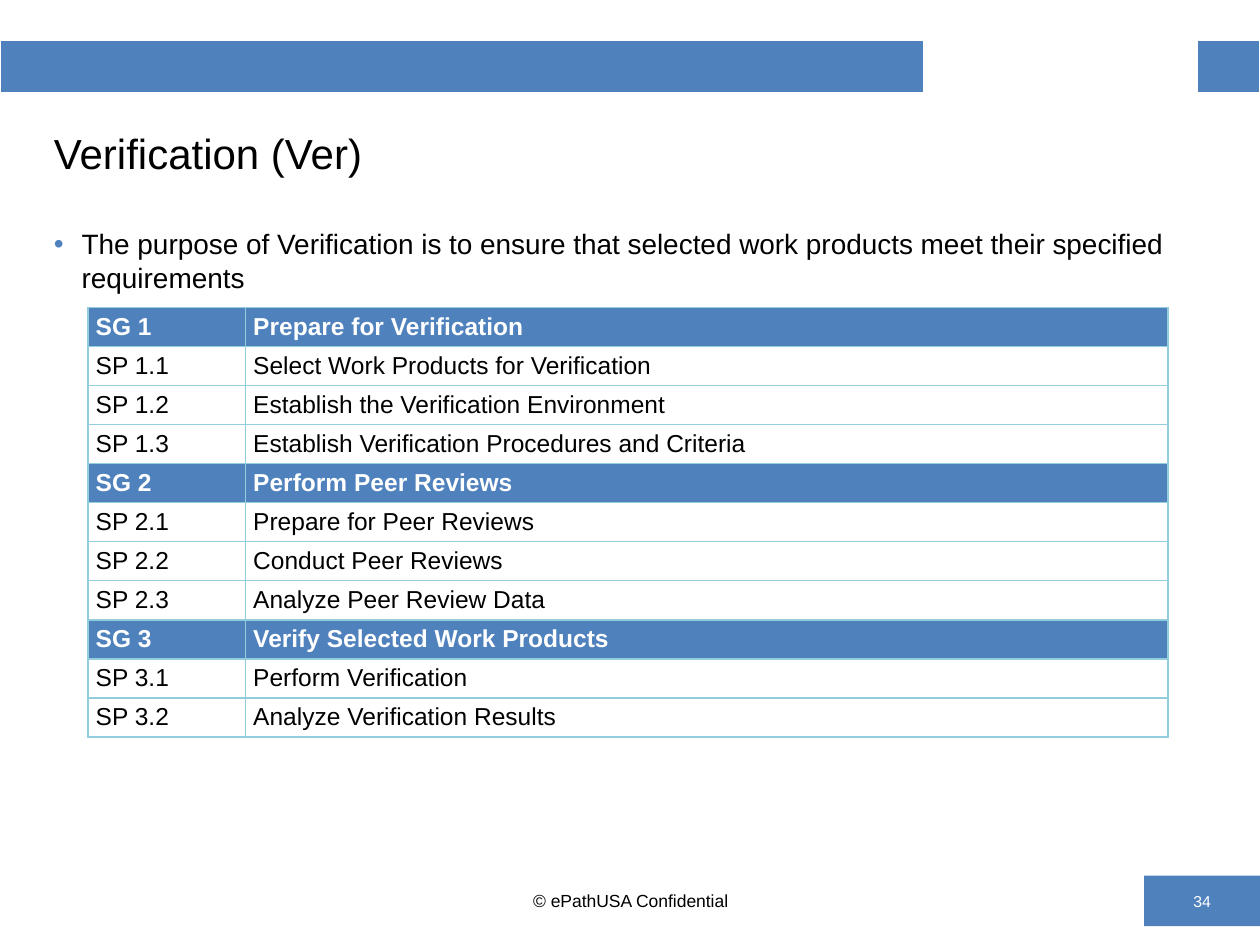
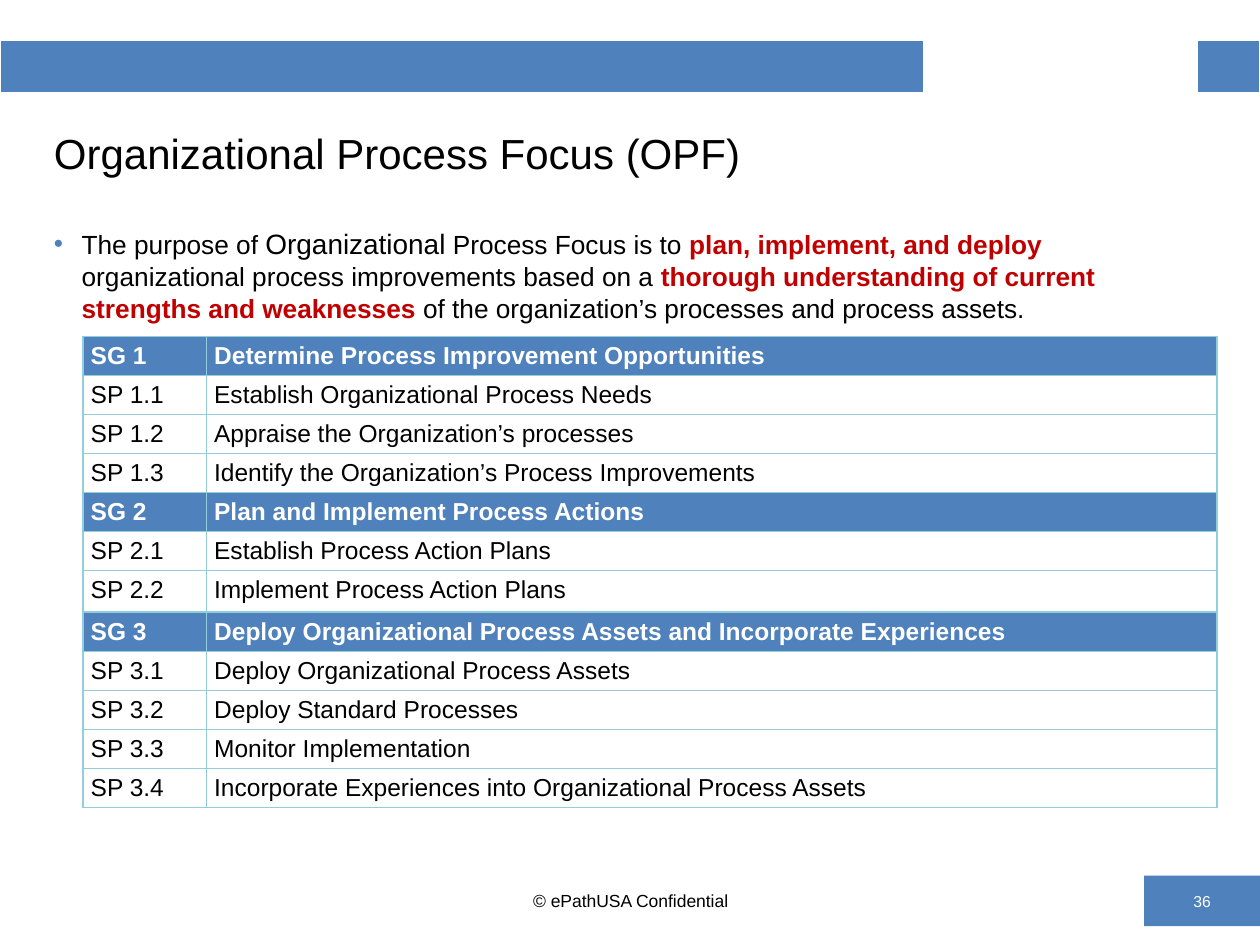
from lxml.etree import SubElement
from pptx import Presentation
from pptx.dml.color import RGBColor
from pptx.enum.shapes import MSO_SHAPE as Shape
from pptx.enum.text import MSO_ANCHOR as Anchor, PP_ALIGN as Align
from pptx.oxml.ns import qn
from pptx.util import Inches, Pt

COLORS = {
    "blue": "4F81BD",
    "grid": "92CDDC",
    "white": "FFFFFF",
    "black": "000000",
    "red": "C00000",
}
FONT = "Arial"
ROW_HEIGHT = 0.29
BAND_WIDTHS = (7.33, 2.17, 0.5)
BAND_HEIGHT = 0.43
BAND_BORDERS = {"lnL": 1, "lnR": 1, "lnT": 1, "lnB": 3}
GRID_BORDERS = dict.fromkeys(BAND_BORDERS, 1)


def rgb(name):
    return RGBColor.from_string(COLORS[name])


class Deck:
    """Holds the shared style and the slide being built."""

    def __init__(self):
        self.prs = Presentation()
        self.prs.slide_width, self.prs.slide_height = Inches(10), Inches(7.5)
        self.slide = None

    def new_slide(self, title, number):
        self.slide = self.prs.slides.add_slide(self.prs.slide_layouts[6])
        self.band()
        self.page_number(number)
        heading = self.text_box(0.33, 0.85, 9.33, 0.73, Anchor.MIDDLE)
        self.run(heading, title, 24)
        footer = self.text_box(3.42, 6.95, 3.17, 0.4, Anchor.MIDDLE)
        footer.alignment = Align.CENTER
        self.run(footer, "© ePathUSA Confidential", 10)

    def run(self, paragraph, text, size, color="black", bold=False):
        run = paragraph.add_run()
        run.text = text
        run.font.name, run.font.size, run.font.bold = FONT, Pt(size), bold
        run.font.color.rgb = rgb(color)

    def text_box(self, left, top, width, height, anchor=Anchor.TOP):
        """Add a wrapping text box and return its first paragraph."""
        box = self.slide.shapes.add_textbox(
            Inches(left), Inches(top), Inches(width), Inches(height))
        frame = box.text_frame
        frame.word_wrap = True
        frame.vertical_anchor = anchor
        return frame.paragraphs[0]

    def page_number(self, number):
        block = self.slide.shapes.add_shape(
            Shape.RECTANGLE, Inches(9.08), Inches(6.95), Inches(0.92), Inches(0.4))
        block.shadow.inherit = False
        block.fill.solid()
        block.fill.fore_color.rgb = rgb("blue")
        block.line.fill.background()
        frame = block.text_frame
        frame.vertical_anchor = Anchor.MIDDLE
        frame.margin_left = frame.margin_right = Inches(0.07)
        frame.margin_top = frame.margin_bottom = Inches(0.04)
        frame.paragraphs[0].alignment = Align.CENTER
        self.run(frame.paragraphs[0], str(number), 9, "white")

    def purpose(self, *parts):
        """Add the bulleted statement from (text, size, color, bold) parts."""
        statement = self.text_box(0.33, 1.75, 9.33, 5.09)
        props = statement._p.get_or_add_pPr()
        props.set("marL", str(Inches(0.22)))
        props.set("indent", str(Inches(-0.22)))
        bullet_color = SubElement(props, qn("a:buClr"))
        SubElement(bullet_color, qn("a:srgbClr"), val=COLORS["blue"])
        SubElement(props, qn("a:buFont"), typeface=FONT)
        SubElement(props, qn("a:buChar"), char="•")
        for part in parts:
            self.run(statement, *part)

    def table(self, left, top, widths, heights):
        """Add a table without banding and return it."""
        table = self.slide.shapes.add_table(
            len(heights), len(widths), Inches(left), Inches(top),
            Inches(sum(widths)), Inches(sum(heights))).table
        table.first_row = table.horz_banding = False
        for column, width in zip(table.columns, widths):
            column.width = Inches(width)
        for row, height in zip(table.rows, heights):
            row.height = Inches(height)
        return table

    def style_cell(self, cell, filled, borders, border_color):
        props = cell._tc.get_or_add_tcPr()
        for side, points in borders.items():
            line = SubElement(props, qn(f"a:{side}"), w=str(Pt(points)))
            SubElement(SubElement(line, qn("a:solidFill")),
                       qn("a:srgbClr"), val=COLORS[border_color])
        if filled:
            cell.fill.solid()
            cell.fill.fore_color.rgb = rgb("blue")
        else:
            cell.fill.background()

    def band(self):
        band = self.table(0, 0.32, BAND_WIDTHS, [BAND_HEIGHT])
        for cell, filled in zip(band.rows[0].cells, (True, False, True)):
            self.style_cell(cell, filled, BAND_BORDERS, "white")

    def goals(self, left, top, widths, goals, taller_rows=None):
        """Number the goals (SG) and their practices (SP) in one table."""
        entries = []
        for goal_no, (goal, practices) in enumerate(goals, 1):
            entries.append((True, f"SG {goal_no}", goal))
            entries += [(False, f"SP {goal_no}.{n}", practice)
                        for n, practice in enumerate(practices, 1)]
        taller_rows = taller_rows or {}
        heights = [taller_rows.get(label, ROW_HEIGHT) for _, label, _ in entries]
        table = self.table(left, top, widths, heights)
        for row, (is_goal, *texts) in zip(table.rows, entries):
            for cell, text in zip(row.cells, texts):
                self.style_cell(cell, is_goal, GRID_BORDERS, "grid")
                cell.margin_left = cell.margin_right = Inches(0.06)
                cell.margin_top = cell.margin_bottom = Inches(0.03)
                paragraph = cell.text_frame.paragraphs[0]
                paragraph.line_spacing = 1.07
                self.run(paragraph, text, 14, "white" if is_goal else "black", is_goal)


def main():
    deck = Deck()

    deck.new_slide("Verification (Ver)", 34)
    deck.purpose(("The purpose of Verification is to ensure that selected work "
                  "products meet their specified requirements", 16))
    deck.goals(0.7, 2.44, (1.25, 7.32), [
        ("Prepare for Verification", [
            "Select Work Products for Verification",
            "Establish the Verification Environment",
            "Establish Verification Procedures and Criteria"]),
        ("Perform Peer Reviews", [
            "Prepare for Peer Reviews",
            "Conduct Peer Reviews",
            "Analyze Peer Review Data"]),
        ("Verify Selected Work Products", [
            "Perform Verification",
            "Analyze Verification Results"]),
    ])

    deck.new_slide("Organizational Process Focus (OPF)", 36)
    deck.purpose(
        ("The purpose of ", 15),
        ("Organizational", 16),
        (" Process Focus is to ", 15),
        ("plan, implement, and deploy", 15, "red", True),
        (" organizational process improvements based on a ", 15),
        ("thorough understanding of current strengths and weaknesses", 15, "red", True),
        (" of the organization’s processes and process assets.", 15))
    deck.goals(0.66, 2.67, (0.98, 8.02), [
        ("Determine Process Improvement Opportunities", [
            "Establish Organizational Process Needs",
            "Appraise the Organization’s processes",
            "Identify the Organization’s Process Improvements"]),
        ("Plan and Implement Process Actions", [
            "Establish Process Action Plans",
            "Implement Process Action Plans"]),
        ("Deploy Organizational Process Assets and Incorporate Experiences", [
            "Deploy Organizational Process Assets",
            "Deploy Standard Processes",
            "Monitor Implementation",
            "Incorporate Experiences into Organizational Process Assets"]),
    ], taller_rows={"SP 2.2": 0.33})

    deck.prs.save("out.pptx")


if __name__ == "__main__":
    main()
